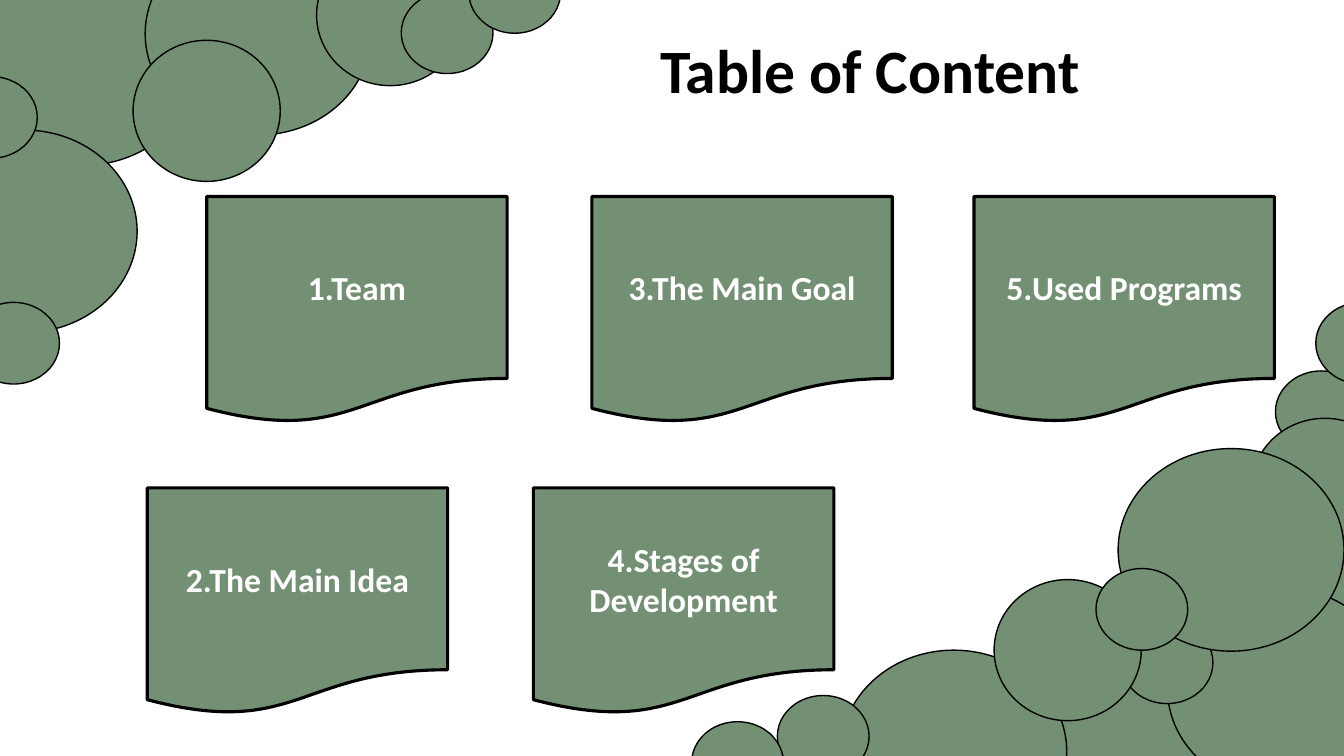
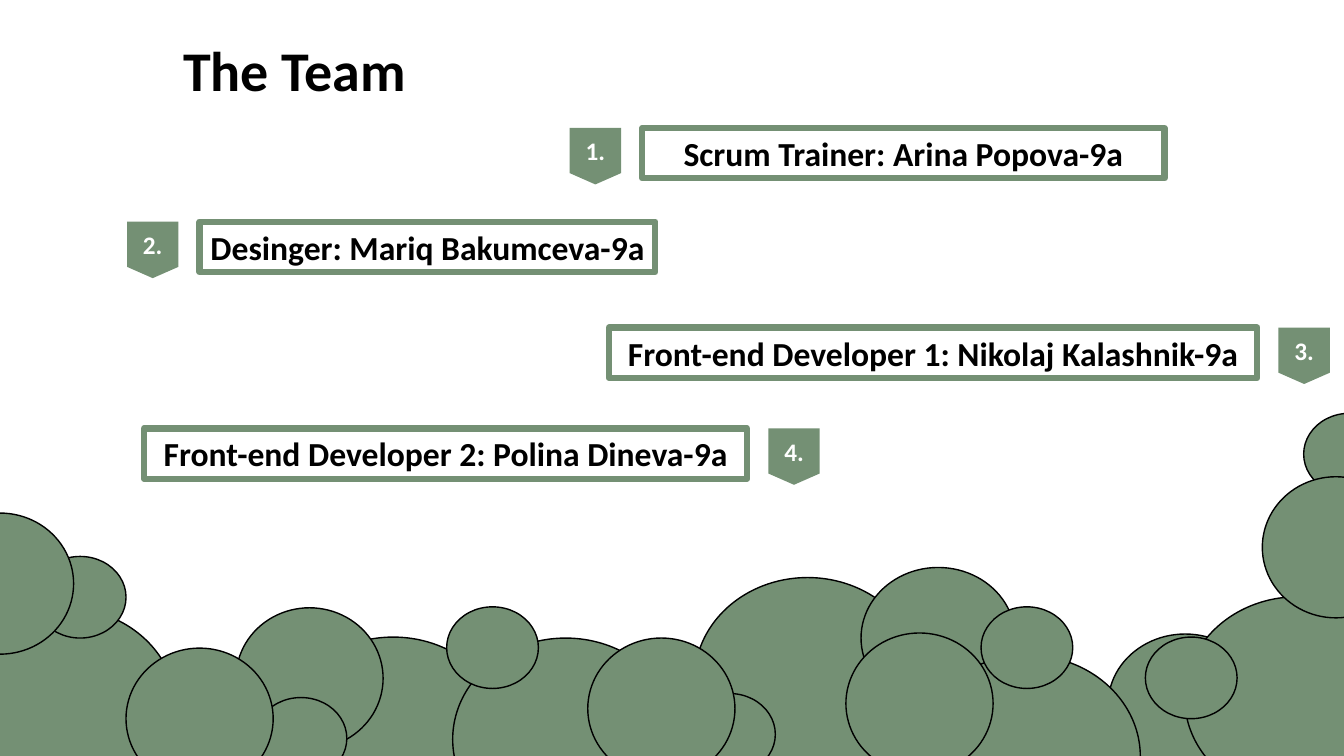
import collections
import dataclasses

import pptx
import pptx.dml.color
import pptx.enum.shapes
import pptx.enum.text
import pptx.util

SHAPES = pptx.enum.shapes.MSO_SHAPE
ANCHOR = pptx.enum.text.MSO_ANCHOR
ALIGN = pptx.enum.text.PP_ALIGN
EMU_PER_PX = 9144

Box = collections.namedtuple("Box", "left top width height")


@dataclasses.dataclass(frozen=True)
class Theme:
    font: str = "Calibri"
    sage: str = "749074"
    ink: str = "000000"
    paper: str = "FFFFFF"
    contents_title: int = 44
    team_title: int = 40
    body: int = 24
    badge: int = 18
    bubble_line: float = 1
    card_line: float = 2.25
    name_line: float = 4.5


THEME = Theme()
PAGE = Box(0, 0, 1333, 750)
CARD_SIZE = (298, 225)
BADGE_SIZE = (51, 56)
BADGE_GAP = 21
NAME_HEIGHT = 50
BUBBLE_SIZES = {
    "small": (91, 81),
    "medium": (146, 140),
    "wide": (153, 140),
    "large": (224, 201),
}

CARDS = [
    (59, 0, "1.Team"),
    (0, 289, "2.The Main Idea"),
    (441, 0, "3.The Main Goal"),
    (383, 289, "4.Stages of Development"),
    (820, 0, "5.Used Programs"),
]
MEMBERS = [
    (511, 0, 518, "left", "Scrum Trainer: Arina Popova-9a"),
    (72, 93, 452, "left", "Desinger: Mariq Bakumceva-9a"),
    (478, 198, 643, "right", "Front-end Developer 1: Nikolaj Kalashnik-9a"),
    (17, 298, 598, "right", "Front-end Developer 2: Polina Dineva-9a"),
]
TOP_LEFT_BUBBLES = [
    ("large", -29, -37), ("large", -88, 129), ("small", -54, 76),
    ("small", -32, 300), ("large", 144, -67), ("medium", 314, -55),
    ("medium", 132, 40), ("small", 398, -8), ("small", 465, -48),
]
BOTTOM_RIGHT_BUBBLES = [
    ("wide", 523, 210), ("wide", 370, 350), ("large", 478, 283),
    ("small", 432, 317), ("large", 154, 345), ("small", 585, 68),
    ("medium", 561, 115), ("small", 91, 390), ("large", 429, 145),
    ("medium", 306, 275), ("small", 407, 264), ("small", 625, 0),
    ("small", 6, 416),
]
BOTTOM_BUBBLES = [
    ("large", -49, 193), ("large", 689, 163), ("small", 34, 142),
    ("small", 1293, 0), ("large", 278, 222), ("medium", -73, 99),
    ("medium", 234, 193), ("wide", 1099, 219), ("wide", 854, 153),
    ("large", 907, 240), ("small", 973, 192), ("large", 1175, 182),
    ("small", 1136, 222), ("medium", 839, 218), ("small", 678, 278),
    ("large", 449, 223), ("medium", 583, 223), ("small", 443, 192),
    ("small", 253, 282), ("medium", 125, 233), ("medium", 1252, 63),
]


def px(length):
    return pptx.util.Emu(length * EMU_PER_PX)


def rgb(color):
    return pptx.dml.color.RGBColor.from_string(color)


def place(box, left, top, size):
    return Box(box.left + left, box.top + top, *size)


def write(shape, text, size, color, anchor=ANCHOR.MIDDLE, wrap=True):
    frame = shape.text_frame
    frame.word_wrap = wrap
    frame.vertical_anchor = anchor
    para = frame.paragraphs[0]
    para.text = text
    para.alignment = ALIGN.CENTER
    para.font.name = THEME.font
    para.font.size = pptx.util.Pt(size)
    para.font.bold = True
    para.font.color.rgb = rgb(color)


def add_figure(page, kind, box, fill=None, line=None, weight=0):
    shape = page.shapes.add_shape(kind, *map(px, box))
    shape.shadow.inherit = False
    if fill:
        shape.fill.solid()
        shape.fill.fore_color.rgb = rgb(fill)
    else:
        shape.fill.background()
    if line:
        shape.line.color.rgb = rgb(line)
        shape.line.width = pptx.util.Pt(weight)
    else:
        shape.line.fill.background()
    return shape


def add_title(page, box, text, size):
    title = page.shapes.add_textbox(*map(px, box))
    write(title, text, size, THEME.ink, ANCHOR.TOP)


def add_bubbles(page, box, bubbles):
    for size, left, top in bubbles:
        add_figure(page, SHAPES.OVAL, place(box, left, top, BUBBLE_SIZES[size]),
                   THEME.sage, THEME.ink, THEME.bubble_line)


def add_cards(page, box):
    for left, top, text in CARDS:
        card = add_figure(page, SHAPES.FLOWCHART_DOCUMENT,
                          place(box, left, top, CARD_SIZE),
                          THEME.sage, THEME.ink, THEME.card_line)
        write(card, text, THEME.body, THEME.paper)


def add_members(page, box):
    for number, (left, top, width, side, text) in enumerate(MEMBERS, 1):
        name_box = place(box, left, top, (width, NAME_HEIGHT))
        name = add_figure(page, SHAPES.RECTANGLE, name_box,
                          line=THEME.sage, weight=THEME.name_line)
        write(name, text, THEME.body, THEME.ink, ANCHOR.TOP, wrap=False)
        offset = width + BADGE_GAP if side == "right" else -BADGE_GAP - BADGE_SIZE[0]
        badge = add_figure(page, SHAPES.FLOWCHART_OFFPAGE_CONNECTOR,
                           place(name_box, offset, 0, BADGE_SIZE), THEME.sage)
        write(badge, f"{number}.", THEME.badge, THEME.paper)


def build_contents(page):
    add_title(page, Box(594, 27, 538, 84), "Table of Content", THEME.contents_title)
    add_cards(page, Box(146, 195, 1118, 514))
    add_bubbles(page, Box(0, 0, 556, 381), TOP_LEFT_BUBBLES)
    add_bubbles(page, Box(680, 300, 653, 450), BOTTOM_RIGHT_BUBBLES)


def build_team(page):
    add_members(page, Box(126, 127, 1193, 354))
    add_title(page, Box(34, 30, 516, 77), "The Team", THEME.team_title)
    add_bubbles(page, Box(0, 410, 1333, 340), BOTTOM_BUBBLES)


def main():
    deck = pptx.Presentation()
    deck.slide_width = px(PAGE.width)
    deck.slide_height = px(PAGE.height)
    for build in (build_contents, build_team):
        page = deck.slides.add_slide(deck.slide_layouts[6])
        page.background.fill.solid()
        page.background.fill.fore_color.rgb = rgb(THEME.paper)
        build(page)
    deck.save("out.pptx")


if __name__ == "__main__":
    main()
